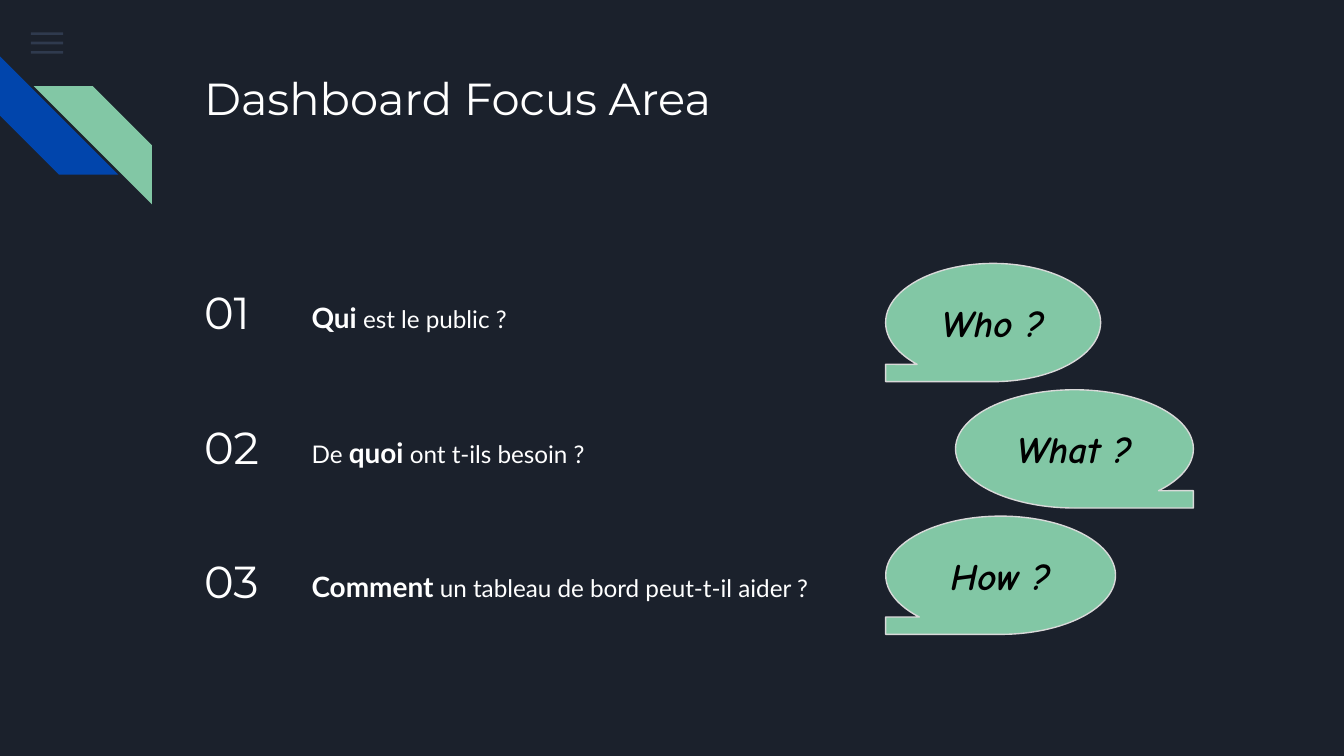
from dataclasses import dataclass

from lxml.etree import SubElement
from pptx import Presentation
from pptx.dml.color import RGBColor as Rgb
from pptx.enum.shapes import MSO_SHAPE as Form
from pptx.enum.text import MSO_ANCHOR as Anchor, PP_ALIGN as Align
from pptx.oxml.ns import qn
from pptx.util import Inches, Pt


@dataclass(frozen=True)
class Theme:
    back: str = "1B212C"
    bar: str = "55688B"
    blue: str = "0145AC"
    green: str = "82C7A5"
    edge: str = "D9D9D9"
    white: str = "FFFFFF"
    black: str = "000000"
    head: str = "Montserrat"
    body: str = "Lato"
    comic: str = "Comic Neue"
    large: int = 24
    call: int = 20
    strong: int = 15
    small: int = 13


def write(para, text, *, font, size, color, bold=False, slant=False):
    run = para.add_run()
    run.text = text
    run.font.name = font
    run.font.size = Pt(size)
    run.font.color.rgb = Rgb.from_string(color)
    run.font.bold = bold
    run.font.italic = slant


class Deck:
    """Draw styled elements on the current slide."""

    def __init__(self, theme):
        self.theme = theme
        self.file = Presentation()
        self.file.slide_width = Inches(10)
        self.file.slide_height = Inches(10 * 9 / 16)
        self.slide = self.file.slides.add_slide(self.file.slide_layouts[6])
        fill = self.slide.background.fill
        fill.solid()
        fill.fore_color.rgb = Rgb.from_string(theme.back)

    def shape(self, form, box, color, flip=False):
        item = self.slide.shapes.add_shape(form, *map(Inches, box))
        item.shadow.inherit = False
        item.fill.solid()
        item.fill.fore_color.rgb = Rgb.from_string(color)
        item.line.fill.background()
        if flip:
            item._element.spPr.xfrm.set("flipH", "1")
        return item

    def bar(self, top):
        item = self.shape(Form.RECTANGLE, (0.23, top, 0.24, 0.02), self.theme.bar)
        tint = item._element.spPr.find(f".//{qn('a:srgbClr')}")
        SubElement(tint, qn("a:alpha"), val="36000")

    def stripe(self, left, top, color, turn=0, flip=False):
        item = self.shape(Form.DIAGONAL_STRIPE, (left, top, 0.88, 0.88), color, flip)
        item.rotation = turn

    def frame(self, item):
        frame = item.text_frame
        frame.word_wrap = True
        frame.margin_left = frame.margin_right = Inches(0.1)
        frame.margin_top = frame.margin_bottom = Inches(0.1)
        return frame

    def label(self, box):
        item = self.slide.shapes.add_textbox(*map(Inches, box))
        return self.frame(item).paragraphs[0]

    def title(self, text, box):
        theme = self.theme
        write(self.label(box), text, font=theme.head, size=theme.large, color=theme.white)

    def point(self, text, box):
        theme = self.theme
        para = self.label(box)
        para.line_spacing = 1.15
        para.space_after = Pt(16)
        for spot, part in enumerate(text.split("*")):
            bold = spot % 2 == 1
            if part:
                write(para, part, font=theme.body, color=theme.white, bold=bold,
                      size=theme.strong if bold else theme.small)

    def bubble(self, text, box, flip):
        theme = self.theme
        item = self.shape(Form.FLOWCHART_SEQUENTIAL_ACCESS_STORAGE, box, theme.green, flip)
        item.line.color.rgb = Rgb.from_string(theme.edge)
        item.line.width = Pt(0.75)
        frame = self.frame(item)
        frame.vertical_anchor = Anchor.MIDDLE
        para = frame.paragraphs[0]
        para.alignment = Align.CENTER
        write(para, text, font=theme.comic, size=theme.call, color=theme.black,
              bold=True, slant=True)


def main():
    theme = Theme()
    deck = Deck(theme)
    for row in range(3):
        deck.bar(0.24 + 0.07 * row)
    deck.stripe(0, 0.42, theme.blue, turn=270)
    deck.stripe(0.25, 0.64, theme.green, flip=True)
    deck.title("Dashboard Focus Area", (1.42, 0.43, 7.7, 1))

    points = (
        "*Qui* est le public ?",
        "De *quoi* ont t-ils besoin ?",
        "*Comment* un tableau de bord peut-t-il aider ?",
    )
    for row, text in enumerate(points):
        deck.title(f"{row + 1:02}", (1.42, 2.02 + row, 0.8, 0.88))
        deck.point(text, (2.22, 2.1 + row, 6.43, 0.88))

    calls = (
        ("Who ?", 6.59, 1.6, True),
        ("What ?", 7.11, 1.77, False),
        ("How ?", 6.59, 1.71, True),
    )
    for row, (text, left, width, flip) in enumerate(calls):
        deck.bubble(text, (left, 1.96 + 0.94 * row, width, 0.88), flip)

    deck.file.save("out.pptx")


if __name__ == "__main__":
    main()
